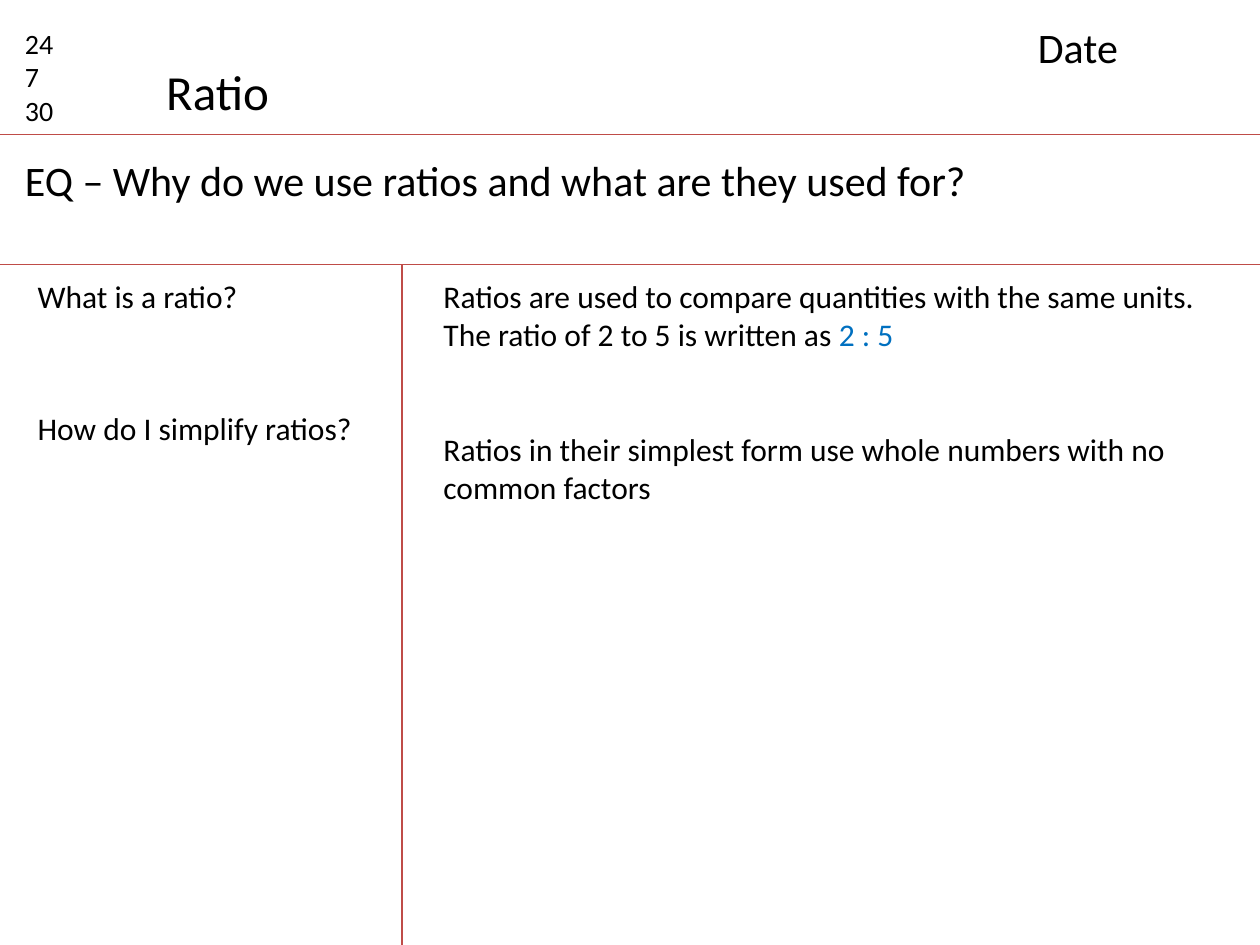
from lxml import etree
from pptx import Presentation
from pptx.dml.color import RGBColor
from pptx.enum.shapes import MSO_CONNECTOR
from pptx.enum.text import MSO_ANCHOR, MSO_AUTO_SIZE, PP_ALIGN
from pptx.oxml.ns import qn
from pptx.util import Pt


def color(value):
    return RGBColor.from_string(value)


def write(sp, box, text, size, wrap=True):
    sp.left, sp.top, sp.width, sp.height = (Pt(v) for v in box)
    tf = sp.text_frame
    tf.text = text
    tf.word_wrap = wrap
    tf.auto_size = MSO_AUTO_SIZE.NONE
    tf.vertical_anchor = MSO_ANCHOR.TOP
    for p in tf.paragraphs:
        p.alignment = PP_ALIGN.LEFT
        p.space_before = Pt(0)
        for r in p.runs:
            r.font.name = "Calibri"
            r.font.size = Pt(size)
            r.font.color.rgb = color("000000")


prs = Presentation()
prs.slide_width, prs.slide_height = Pt(720), Pt(540)
s = prs.slides.add_slide(prs.slide_layouts[1])

# Rules dividing header, essential question, cues and notes
header_y, question_y, cue_x = 77, 151.2, 229.7
for x1, y1, x2, y2 in [
    (0, header_y, 720, header_y),
    (0, question_y, 720, question_y),
    (cue_x, question_y, cue_x, 540),
]:
    line = s.shapes.add_connector(
        MSO_CONNECTOR.STRAIGHT, Pt(x1), Pt(y1), Pt(x2), Pt(y2))
    line.line.color.rgb = color("BF4C48")
    line.line.width = Pt(0.75)
    etree.SubElement(line._element.spPr, qn("a:effectLst"))

# Topic
write(s.shapes.title, (87.8, 31.7, 74.2, 41), "Ratio", 28, wrap=False)

# Header details, essential question and cue questions
for box, text, size, wrap in [
    ((7.2, 11.5, 45.4, 65.5), "24\n7\n30", 16, True),
    ((586, 8.6, 124.6, 36), "Date", 24, True),
    ((7.2, 85, 679, 36),
     "EQ – Why do we use ratios and what are they used for?", 24, True),
    ((14.4, 154.8, 130.3, 28.8), "What is a ratio?", 18, False),
    ((14.4, 230.4, 195.8, 28.8), "How do I simplify ratios?", 18, False),
]:
    write(s.shapes.add_textbox(0, 0, 0, 0), box, text, size, wrap)

# Notes
notes = s.placeholders[1]
write(notes, (246.2, 154.8, 473.8, 225.4),
      "Ratios are used to compare quantities with the same units.\n"
      "The ratio of 2 to 5 is written as \n"
      "Ratios in their simplest form use whole numbers with no common factors",
      18)
paragraphs = notes.text_frame.paragraphs
for p in paragraphs:
    pPr = p._p.get_or_add_pPr()
    pPr.set("marL", "0")
    pPr.set("indent", "0")
    etree.SubElement(pPr, qn("a:buNone"))
paragraphs[2].space_before = Pt(44)

# Highlighted ratio
r = paragraphs[1].add_run()
r.text = "2 : 5"
r.font.name = "Calibri"
r.font.size = Pt(18)
r.font.color.rgb = color("0070C0")

prs.save("out.pptx")
